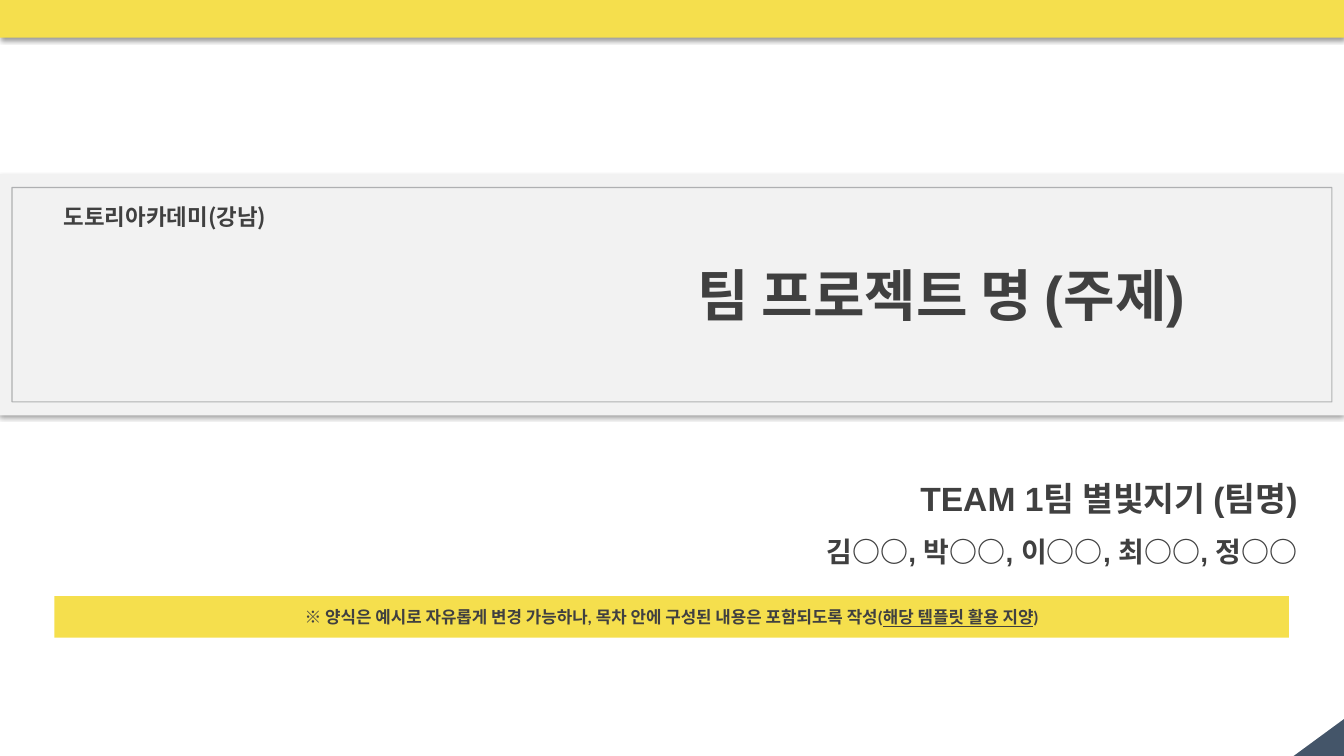
import pptx
import pptx.util
import pptx.dml.color
import pptx.enum.shapes
import pptx.enum.text
import pptx.oxml.ns
from lxml import etree

Inches = pptx.util.Inches
Pt = pptx.util.Pt
Shape = pptx.enum.shapes.MSO_SHAPE
Align = pptx.enum.text.PP_ALIGN
qn = pptx.oxml.ns.qn

HUES = {"gold": "F5DF4D", "pale": "F2F2F2", "navy": "445569",
        "ink": "404040", "rule": "939597", "black": "000000"}
WIDE, HIGH = 20, 11.25
KOREAN = "Noto Sans CJK KR"


def hue(name):
    """Return the named colour."""
    return pptx.dml.color.RGBColor.from_string(HUES[name])


def fade(color, share):
    """Give a colour element an opacity in percent."""
    etree.SubElement(color, qn("a:alpha"), val=str(share * 1000))


def block(slide, box, fill=None, kind=Shape.RECTANGLE):
    """Add a plain shape without line or shadow."""
    shape = slide.shapes.add_shape(kind, *map(Inches, box))
    shape.shadow.inherit = False
    shape.line.fill.background()
    if fill:
        shape.fill.solid()
        shape.fill.fore_color.rgb = hue(fill)
    else:
        shape.fill.background()
    return shape


def shade(shape):
    """Put a soft shadow under a shape."""
    effects = shape._element.spPr.find(qn("a:effectLst"))
    outer = etree.SubElement(effects, qn("a:outerShdw"), blurRad=str(Pt(5)),
                             dist=str(Pt(2)), dir="5400000",
                             algn="t", rotWithShape="0")
    fade(etree.SubElement(outer, qn("a:srgbClr"), val=HUES["black"]), 40)


def style(run, size, font):
    """Set the bold dark type of a run."""
    run.font.size = Pt(size)
    run.font.bold = True
    run.font.name = font
    run.font.color.rgb = hue("ink")
    latin = run._r.rPr.find(qn("a:latin"))
    latin.addnext(etree.Element(qn("a:ea"), typeface=KOREAN))


def label(slide, box, lines, font, align=Align.CENTER, pad=0.07, lead=None):
    """Add a text box from pairs of text and size."""
    shape = slide.shapes.add_textbox(*map(Inches, box))
    frame = shape.text_frame
    frame.text = "\n".join(text for text, size in lines)
    frame.word_wrap = True
    frame.auto_size = pptx.enum.text.MSO_AUTO_SIZE.SHAPE_TO_FIT_TEXT
    frame.margin_left = frame.margin_right = Inches(0.15)
    frame.margin_top = frame.margin_bottom = Inches(pad)
    for para, (text, size) in zip(frame.paragraphs, lines):
        para.alignment = align
        para.line_spacing = lead
        for run in para.runs:
            style(run, size, font)


def corner(slide, box):
    """Fill the box with a triangle whose right angle is bottom right."""
    left, top, width, height = box
    turn = (width - height) / 2
    shape = block(slide, (left + turn, top - turn, height, width),
                  "navy", Shape.RIGHT_TRIANGLE)
    shape.rotation = 270


def team(slide, box):
    """Add the team name and its members."""
    lines = [("TEAM 1팀 별빛지기 (팀명)", 36),
             ("김○○, 박○○, 이○○, 최○○, 정○○", 30)]
    label(slide, box, lines, "Arial", Align.RIGHT, 0, 1.5)


def notice(slide, box):
    """Add the yellow strip with the remark on the format."""
    frame = block(slide, box, "gold").text_frame
    frame.word_wrap = True
    frame.vertical_anchor = pptx.enum.text.MSO_ANCHOR.MIDDLE
    frame.margin_left = frame.margin_right = Inches(0.15)
    frame.margin_top = frame.margin_bottom = Inches(0.07)
    para = frame.paragraphs[0]
    para.alignment = Align.CENTER
    parts = [("※ 양식은 예시로 자유롭게 변경 가능하나, 목차 안에 구성된 내용은 포함되도록 작성(", False),
             ("해당 템플릿 활용 지양", True), (")", False)]
    for text, under in parts:
        run = para.add_run()
        run.text = text
        style(run, 18, "Calibri")
        run.font.underline = under


def banner(slide, box):
    """Add the grey title band with its inner frame."""
    left, top, width, height = box
    shade(block(slide, box, "pale"))
    label(slide, (left + 0.3, top + 0.37, 4.31, 0.56),
          [("도토리아카데미(강남)", 24)], KOREAN)
    label(slide, (left + 8.46, top + 1.29, 11.1, 1.01),
          [("팀 프로젝트 명 (주제)", 60)], "Arial", pad=0)
    frame = block(slide, (left + 0.18, top + 0.2, width - 0.36, height - 0.4))
    frame.line.width = Pt(1.25)
    frame.line.color.rgb = hue("rule")
    fade(frame.line._ln.find(".//" + qn("a:srgbClr")), 70)


def main():
    """Build the cover slide and save it."""
    deck = pptx.Presentation()
    deck.slide_width, deck.slide_height = Inches(WIDE), Inches(HIGH)
    slide = deck.slides.add_slide(deck.slide_layouts[6])
    corner(slide, (WIDE - 0.75, HIGH - 0.55, 0.75, 0.55))
    team(slide, (11, 6.81, 8.46, 1.67))
    notice(slide, (0.81, 8.87, 18.37, 0.62))
    banner(slide, (0, 2.59, WIDE, 3.59))
    shade(block(slide, (0, 0, WIDE, 0.56), "gold"))
    deck.save("out.pptx")


if __name__ == "__main__":
    main()
